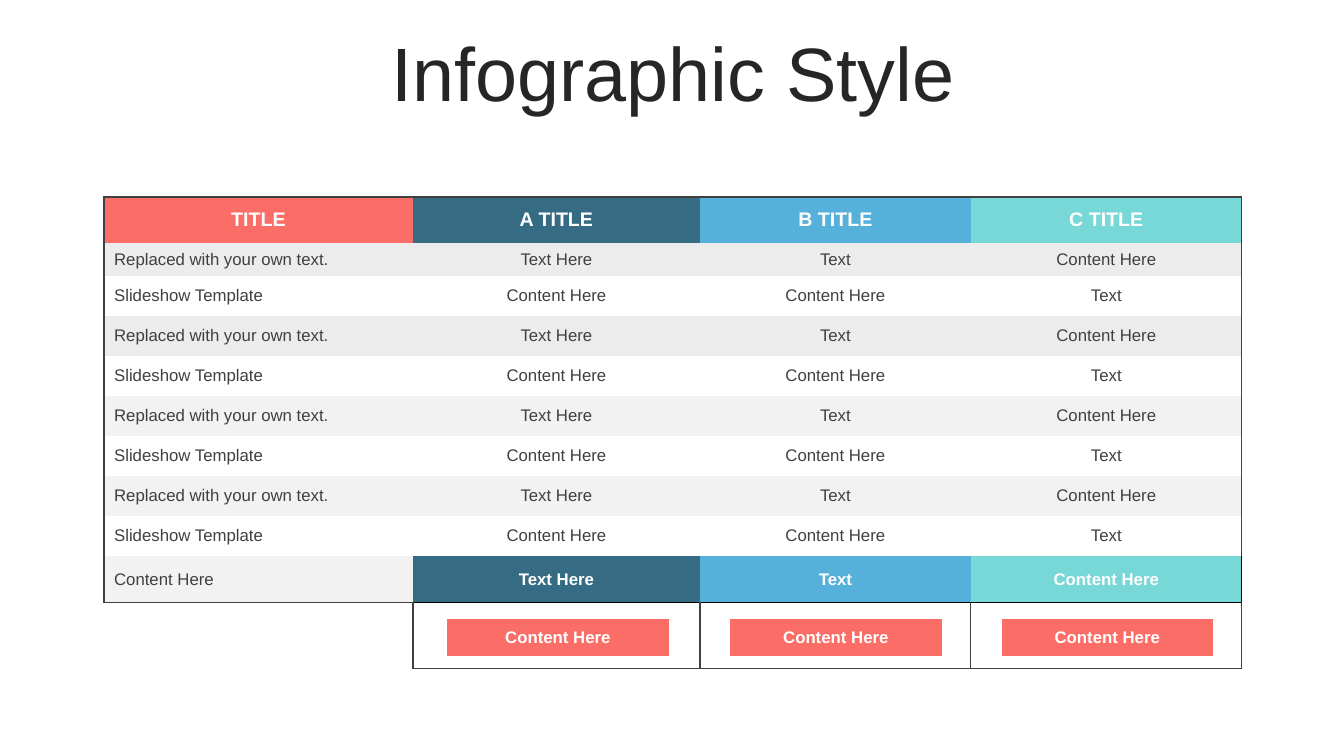
from dataclasses import dataclass

from lxml import etree
from pptx import Presentation, util as u
from pptx.dml.color import RGBColor
from pptx.enum import text
from pptx.oxml import ns

PX = 12192000 / 1344
FONT = "Arial"
COLORS = {
    "heading": "262626", "ink": "404040", "black": "000000", "white": "FFFFFF",
    "coral": "FB6D67", "navy": "356C84", "blue": "55B0DA", "teal": "78D7D7",
    "grey": "ECECEC", "pale": "F2F2F2",
}
COL_WIDTHS = [309, 34, 222, 31, 30, 212, 29, 31, 211, 29]
ROW_HEIGHTS = [46, 33] + [40] * 7 + [47, 16, 37, 13]
TOTAL_ROW, BUTTON_ROW = 9, 11
FOOTER_ROW = TOTAL_ROW + 1
LAST_ROW, LAST_COL = len(ROW_HEIGHTS) - 1, len(COL_WIDTHS) - 1
GROUP_STARTS = (1, 4, 7)


@dataclass
class Row:
    words: tuple[str, ...]
    fills: tuple[str | None, ...]
    size: int = 12
    bold_from: int = 4  # first of the four columns set in bold white


GROUP_FILLS = ("navy", "blue", "teal")
OWN_TEXT = ("Replaced with your own text.", "Text Here", "Text", "Content Here")
TEMPLATE = ("Slideshow Template", "Content Here", "Content Here", "Text")
ROWS = [Row(("TITLE", "A TITLE", "B TITLE", "C TITLE"), ("coral", *GROUP_FILLS), 14, 0)]
for band in ("grey", "grey", "pale", "pale"):
    ROWS += [Row(OWN_TEXT, (band,) * 4), Row(TEMPLATE, (None,) * 4)]
ROWS.append(Row(("Content Here", "Text Here", "Text", "Content Here"),
                ("pale", *GROUP_FILLS), bold_from=1))


def px(n: float) -> u.Emu:
    return u.Emu(round(n * PX))


def rgb(name: str) -> RGBColor:
    return RGBColor.from_string(COLORS[name])


def write(tf, words: str, size: int, color: str, bold: bool, centred: bool) -> None:
    tf.text = words
    p = tf.paragraphs[0]
    p.alignment = text.PP_ALIGN.CENTER if centred else text.PP_ALIGN.LEFT
    font = p.runs[0].font
    font.name, font.size, font.bold = FONT, u.Pt(size), bold
    font.color.rgb = rgb(color)


def border_sides(r: int, c: int) -> dict[str, bool]:
    """Say which sides of a cell carry a line."""
    body = r < FOOTER_ROW
    return {
        "L": c == 0 if body else c in GROUP_STARTS,
        "R": c in (GROUP_STARTS[-1], LAST_COL) if body else c % 3 == 0,
        "T": r in (0, FOOTER_ROW),
        "B": r == TOTAL_ROW or (r == LAST_ROW and c > 0),
    }


def add_borders(cell, r: int, c: int) -> None:
    tc_pr = cell._tc.get_or_add_tcPr()
    for side, drawn in border_sides(r, c).items():
        ln = etree.SubElement(tc_pr, ns.qn(f"a:ln{side}"), w=str(u.Pt(1)))
        if not drawn:
            etree.SubElement(ln, ns.qn("a:noFill"))
            continue
        dark = c > 0 and (r == TOTAL_ROW or (r == FOOTER_ROW and side == "T"))
        fill = etree.SubElement(ln, ns.qn("a:solidFill"))
        etree.SubElement(fill, ns.qn("a:srgbClr"), val=COLORS["black" if dark else "ink"])


def paint(cell, color: str | None) -> None:
    if color is None:
        cell.fill.background()
    else:
        cell.fill.solid()
        cell.fill.fore_color.rgb = rgb(color)


def shrink_empty(cell) -> None:
    """Keep an empty cell from stretching its row."""
    cell.margin_top = cell.margin_bottom = 0
    end = etree.SubElement(cell.text_frame.paragraphs[0]._p, ns.qn("a:endParaRPr"))
    end.set("sz", "400")


def add_title(s) -> None:
    tf = s.shapes.add_textbox(px(35), px(37), px(1276), px(80)).text_frame
    tf.word_wrap = True
    tf.vertical_anchor = text.MSO_ANCHOR.MIDDLE
    write(tf, "Infographic Style", 54, "heading", False, True)
    tf.paragraphs[0].line_spacing = 0.9


def add_comparison_table(s) -> None:
    table = s.shapes.add_table(
        len(ROW_HEIGHTS), len(COL_WIDTHS), px(104), px(197),
        px(sum(COL_WIDTHS)), px(sum(ROW_HEIGHTS))).table
    table.first_row = table.horz_banding = False
    for column, width in zip(table.columns, COL_WIDTHS):
        column.width = px(width)
    for row, height in zip(table.rows, ROW_HEIGHTS):
        row.height = px(height)

    for r in range(len(ROW_HEIGHTS)):
        for c in range(len(COL_WIDTHS)):
            cell = table.cell(r, c)
            cell.vertical_anchor = text.MSO_ANCHOR.MIDDLE
            add_borders(cell, r, c)
            group = (c + 2) // 3
            if r < FOOTER_ROW:
                row = ROWS[r]
                paint(cell, row.fills[group])
                if c == 0 or c in GROUP_STARTS:
                    bold = group >= row.bold_from
                    write(cell.text_frame, row.words[group], row.size,
                          "white" if bold else "ink", bold, c > 0 or r == 0)
                else:
                    shrink_empty(cell)
            elif r == BUTTON_ROW and c % 3 == 2:
                paint(cell, "coral")
                write(cell.text_frame, "Content Here", 12, "white", True, True)
            else:
                paint(cell, "white" if c else None)
                shrink_empty(cell)

    for r in range(FOOTER_ROW):
        for c in GROUP_STARTS:
            table.cell(r, c).merge(table.cell(r, c + 2))
    table.cell(FOOTER_ROW, 0).merge(table.cell(LAST_ROW, 0))


def main() -> None:
    prs = Presentation()
    prs.slide_width, prs.slide_height = px(1344), px(756)
    s = prs.slides.add_slide(prs.slide_layouts[6])
    add_title(s)
    add_comparison_table(s)
    prs.save("out.pptx")


if __name__ == "__main__":
    main()
